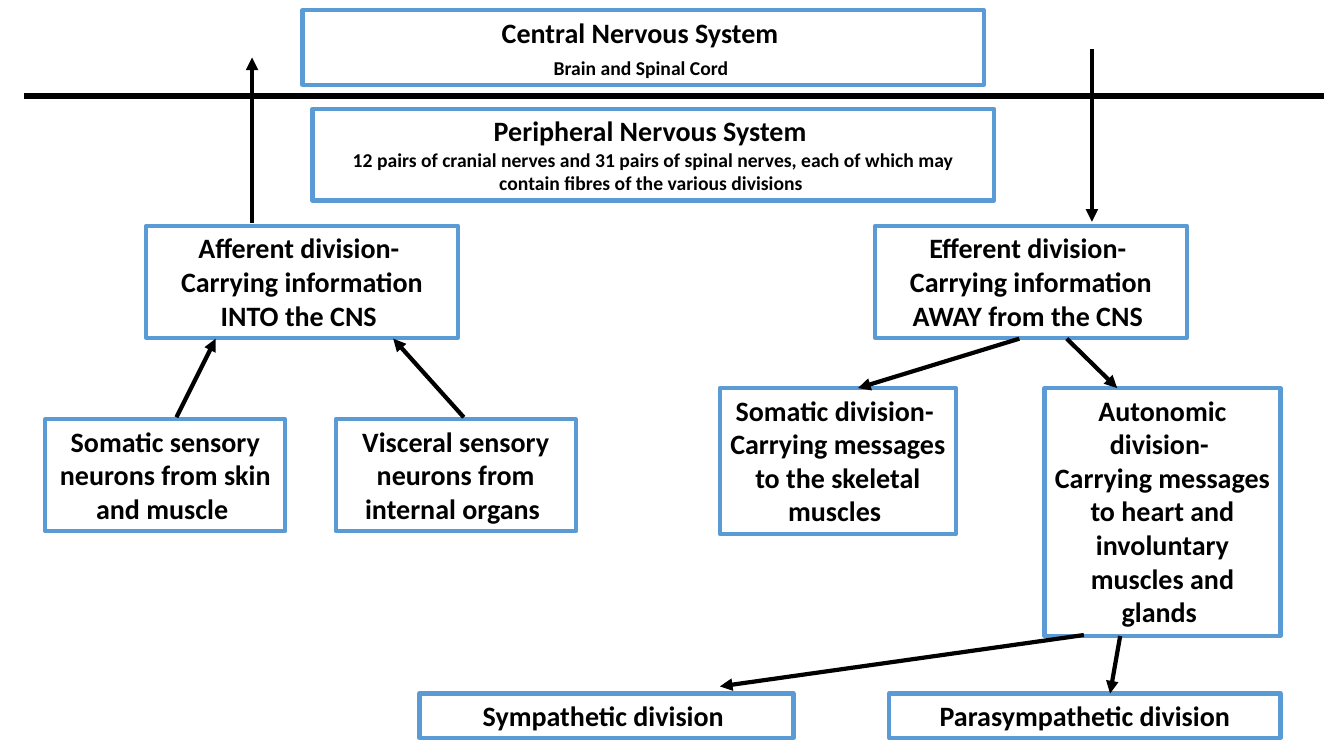
"""Build a slide charting the divisions of the nervous system."""
import pptx
import pptx.util
import pptx.dml.color
import pptx.enum.shapes
import pptx.enum.text
import pptx.oxml.ns
from lxml import etree
from pptx.util import Inches

HEADING, DETAIL = 20, 14

BOXES = [
    (3, 0.1, 6.76, 0.74, [("Central Nervous System ", HEADING, 0),
                          ("Brain and Spinal Cord ", DETAIL, 5)]),
    (3.1, 1.08, 6.76, 0.91, [
        ("Peripheral Nervous System ", HEADING, 0),
        ("12 pairs of cranial nerves and 31 pairs of spinal nerves, "
         "each of which may contain fibres of the various divisions ", DETAIL, 0)]),
    (8.68, 2.24, 3.09, 1.11, [("Efferent division- ", HEADING, 0),
                              ("Carrying information AWAY from the CNS ", HEADING, 0)]),
    (1.45, 2.24, 3.09, 1.11, [("Afferent division- ", HEADING, 0),
                              ("Carrying information INTO the CNS ", HEADING, 0)]),
    (0.45, 4.16, 2.38, 1.11, [("Somatic sensory neurons from skin and muscle ", HEADING, 0)]),
    (3.33, 4.16, 2.38, 1.11, [("Visceral sensory neurons from internal organs ", HEADING, 0)]),
    (7.14, 3.85, 2.34, 1.45, [("Somatic division- ", HEADING, 0),
                              ("Carrying messages to the skeletal muscles ", HEADING, 0)]),
    (10.36, 3.85, 2.34, 2.46, [
        ("Autonomic division- ", HEADING, 0),
        ("Carrying messages to heart and involuntary muscles and glands ", HEADING, 0)]),
    (8.82, 6.88, 3.88, 0.44, [("Parasympathetic division", HEADING, 0)]),
    (4.16, 6.88, 3.71, 0.44, [("Sympathetic division ", HEADING, 0)]),
]

ARROWS = [
    (10.83, 0.49, 10.83, 2.2),
    (2.5, 2.21, 2.5, 0.57),
    (10.75, 6.3, 7.14, 6.81),
    (11.11, 6.31, 11.01, 6.88),
    (10.58, 3.36, 11.08, 3.85),
    (10.11, 3.36, 8.51, 3.85),
    (1.75, 4.14, 2.14, 3.36),
    (4.6, 4.14, 3.9, 3.36),
]


def paint(color_format, hex_color):
    """Set a colour from a hex string."""
    color_format.rgb = pptx.dml.color.RGBColor.from_string(hex_color)


def add_division(slide, left, top, width, height, lines):
    """Add an outlined box holding centred bold lines."""
    box = slide.shapes.add_shape(pptx.enum.shapes.MSO_SHAPE.RECTANGLE, Inches(left),
                                 Inches(top), Inches(width), Inches(height))
    box.shadow.inherit = False
    box.fill.solid()
    paint(box.fill.fore_color, "FFFFFF")
    paint(box.line.color, "5B9BD5")
    box.line.width = pptx.util.Pt(3)
    frame = box.text_frame
    frame.text = "\n".join(text for text, _, _ in lines)
    frame.word_wrap = True
    frame.auto_size = pptx.enum.text.MSO_AUTO_SIZE.SHAPE_TO_FIT_TEXT
    frame.vertical_anchor = pptx.enum.text.MSO_ANCHOR.TOP
    for paragraph, (_, size, space) in zip(frame.paragraphs, lines):
        paragraph.alignment = pptx.enum.text.PP_ALIGN.CENTER
        if space:
            paragraph.space_before = pptx.util.Pt(space)
        font = paragraph.runs[0].font
        font.name = "Calibri"
        font.size = pptx.util.Pt(size)
        font.bold = True
        paint(font.color, "000000")


def add_line(slide, x1, y1, x2, y2, weight, arrow):
    """Add a straight black line, with an arrowhead at its end if asked."""
    line = slide.shapes.add_connector(pptx.enum.shapes.MSO_CONNECTOR.STRAIGHT, Inches(x1),
                                      Inches(y1), Inches(x2), Inches(y2))
    paint(line.line.color, "000000")
    line.line.width = pptx.util.Pt(weight)
    qn = pptx.oxml.ns.qn
    properties = line.element.spPr
    if arrow:
        etree.SubElement(properties.find(qn("a:ln")), qn("a:tailEnd"), type="triangle")
    etree.SubElement(properties, qn("a:effectLst"))


def main():
    """Build and save the slide."""
    deck = pptx.Presentation()
    deck.slide_width, deck.slide_height = Inches(13.33), Inches(7.5)
    slide = deck.slides.add_slide(deck.slide_layouts[6])
    for division in BOXES:
        add_division(slide, *division)
    add_line(slide, 0.24, 0.95, 13.13, 0.95, 4.5, False)
    for ends in ARROWS:
        add_line(slide, *ends, 3, True)
    deck.save("out.pptx")


if __name__ == "__main__":
    main()
